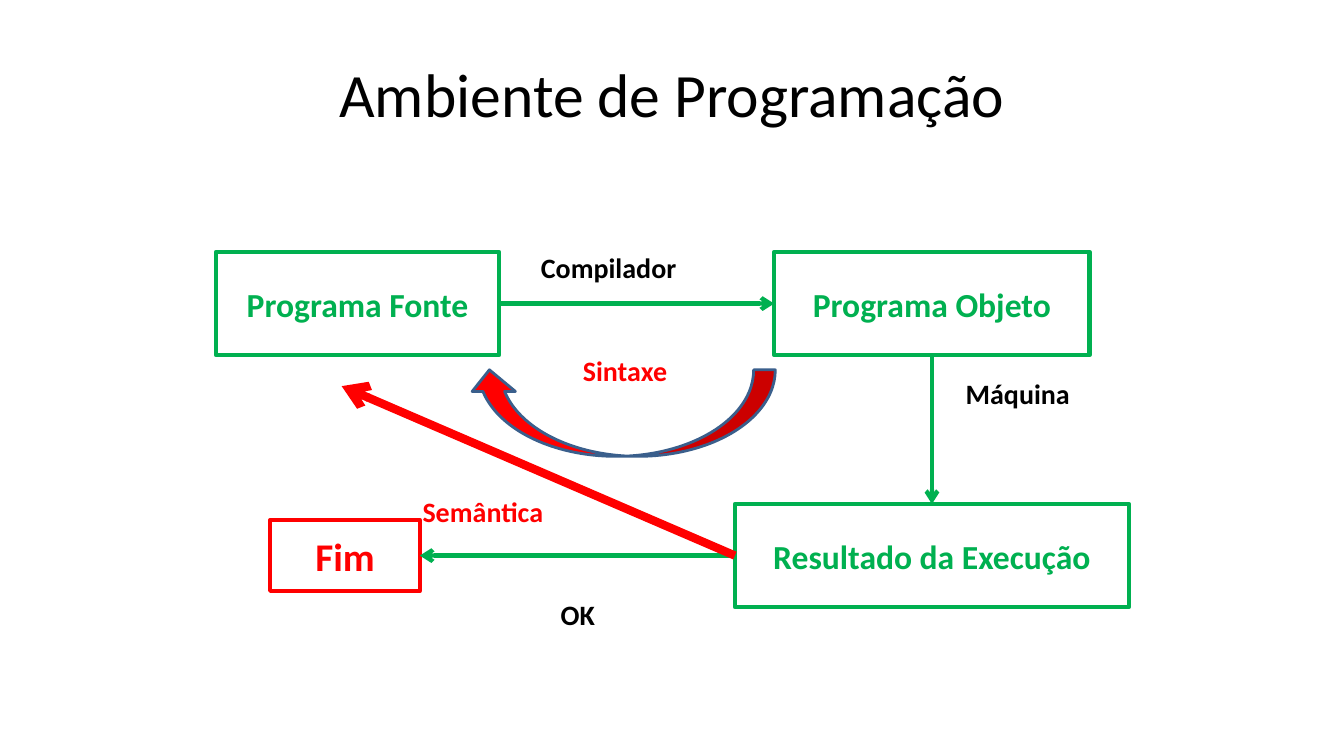
from pptx import Presentation
from pptx.dml.color import RGBColor
from pptx.enum.shapes import MSO_CONNECTOR, MSO_SHAPE
from pptx.enum.text import MSO_ANCHOR, PP_ALIGN
from pptx.oxml.ns import qn
from pptx.util import Cm, Pt
from lxml.etree import SubElement

COLORS = {"black": "000000", "white": "FFFFFF", "green": "00B050",
          "red": "FF0000", "blue": "3A5F8C"}


def color(name):
    return RGBColor.from_string(COLORS[name])


def write(shape, text, size, ink, bold):
    frame = shape.text_frame
    frame.word_wrap = True
    frame.vertical_anchor = MSO_ANCHOR.MIDDLE
    para = frame.paragraphs[0]
    para.alignment = PP_ALIGN.CENTER
    span = para.add_run()
    span.text = text
    span.font.name = "Calibri"
    span.font.size = Pt(size)
    span.font.bold = bold
    span.font.color.rgb = color(ink)


deck = Presentation()
deck.slide_width, deck.slide_height = Cm(33.87), Cm(19.05)
page = deck.slides.add_slide(deck.slide_layouts[5])

# Title
title = page.shapes.title
title.left, title.top, title.width, title.height = Cm(1.7), Cm(0.76), Cm(30.48), Cm(3.18)
write(title, "Ambiente de Programação", 44, "black", False)

# Labels lie behind the framed steps
# text, left, top, width, height, size, ink, outline, outline width
rectangles = [
    ("Sintaxe", 13.36, 8.74, 4.78, 1.19, 20, "red", "white", 2),
    ("Semântica", 9.78, 12.29, 4.78, 1.19, 20, "red", "white", 2),
    ("Máquina", 23.67, 9.32, 3.96, 1.19, 20, "black", "white", 2),
    ("Compilador", 12.95, 6.15, 4.78, 1.19, 20, "black", "white", 2),
    ("OK", 12.17, 14.88, 4.78, 1.19, 20, "black", "white", 2),
    ("Programa Fonte", 5.44, 6.35, 7.14, 2.6, 24, "green", "green", 3),
    ("Programa Objeto", 19.51, 6.35, 7.95, 2.6, 24, "green", "green", 3),
    ("Resultado da Execução", 18.52, 12.7, 9.93, 2.6, 24, "green", "green", 3),
    ("Fim", 6.81, 13.11, 3.77, 1.78, 28, "red", "red", 3),
]
boxes = {}
for text, left, top, width, height, size, ink, outline, weight in rectangles:
    box = page.shapes.add_shape(MSO_SHAPE.RECTANGLE, Cm(left), Cm(top), Cm(width), Cm(height))
    box.shadow.inherit = False
    box.fill.solid()
    box.fill.fore_color.rgb = color("white")
    box.line.color.rgb = color(outline)
    box.line.width = Pt(weight)
    write(box, text, size, ink, True)
    boxes[text] = box

# Curved arrow back to the source program after a syntax error
syntax_arrow = page.shapes.add_shape(MSO_SHAPE.CURVED_UP_ARROW,
                                     Cm(11.79), Cm(9.32), Cm(7.75), Cm(2.18))
syntax_arrow.shadow.inherit = False
syntax_arrow.fill.solid()
syntax_arrow.fill.fore_color.rgb = color("red")
syntax_arrow.line.color.rgb = color("blue")
syntax_arrow.line.width = Pt(2)
syntax_arrow._element.spPr.find(qn("a:xfrm")).set("flipH", "1")

# Straight arrows: start box and side, end box and side, ink, width
arrows = [
    ("Programa Fonte", 3, "Programa Objeto", 1, "green", 3),
    ("Programa Objeto", 2, "Resultado da Execução", 0, "green", 3),
    ("Resultado da Execução", 1, "Fim", 3, "green", 3),
    ("Resultado da Execução", 1, None, None, "red", 6),
]
for start, start_side, end, end_side, ink, weight in arrows:
    # The semantic arrow ends freely below the source program
    arrow = page.shapes.add_connector(MSO_CONNECTOR.STRAIGHT,
                                      Cm(18.52), Cm(14), Cm(8.61), Cm(9.73))
    arrow.begin_connect(boxes[start], start_side)
    if end:
        arrow.end_connect(boxes[end], end_side)
    arrow.line.color.rgb = color(ink)
    arrow.line.width = Pt(weight)
    SubElement(arrow.line._get_or_add_ln(), qn("a:tailEnd"), type="arrow")
    SubElement(arrow._element.spPr, qn("a:effectLst"))

deck.save("out.pptx")
